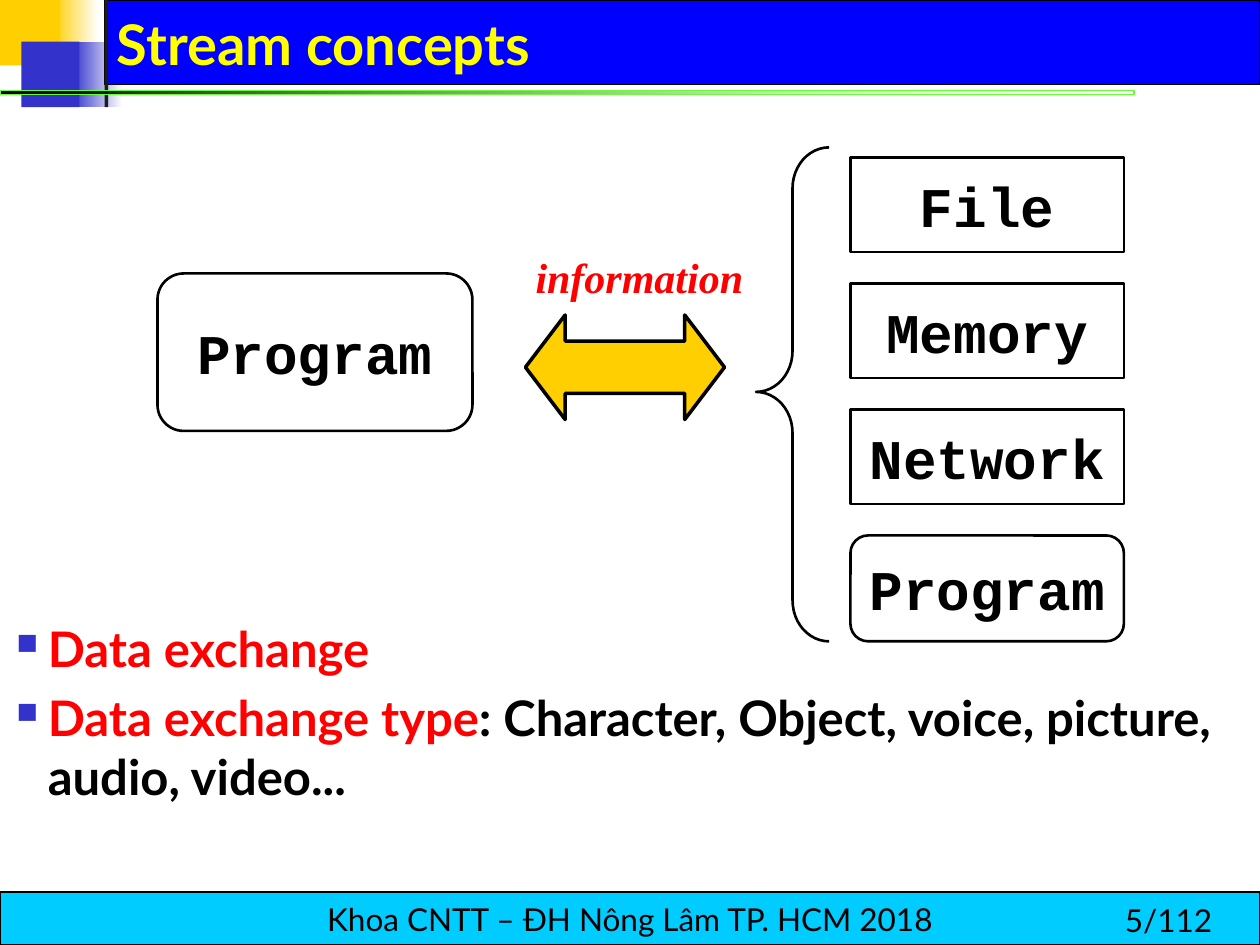
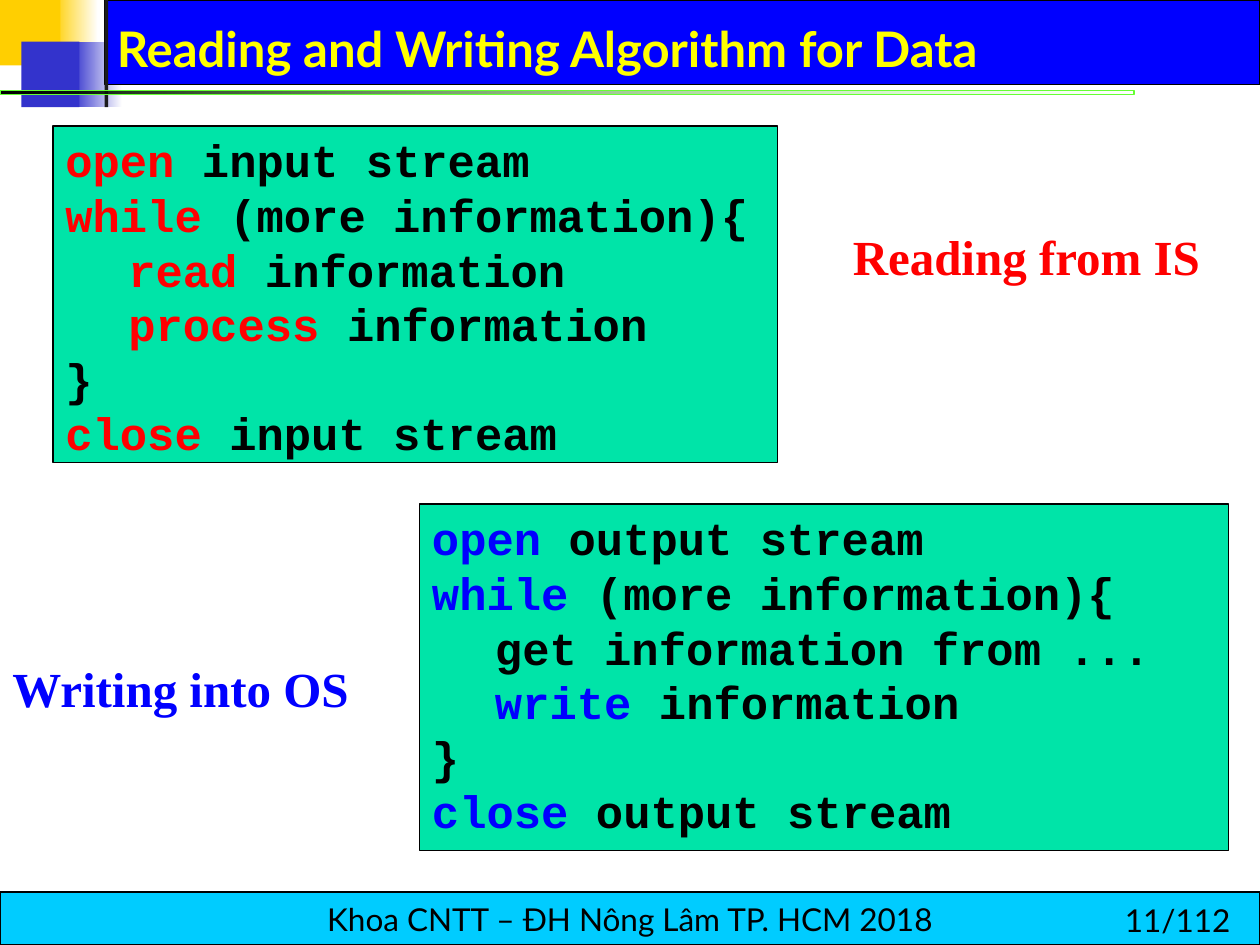
from pptx import Presentation
from pptx.util import Inches, Pt
from pptx.dml.color import RGBColor
from pptx.enum.shapes import MSO_SHAPE
from pptx.enum.text import MSO_ANCHOR, PP_ALIGN
from lxml.etree import SubElement
from pptx.oxml.ns import qn

BLACK, RED, BLUE, YELLOW = "000000", "FF0000", "0000FF", "FFFF00"
GOLD, INDIGO, WHITE, LIME = "FFCF01", "3333CC", "FFFFFF", "66FF33"
SKY, MINT, CHARCOAL = "00CCFF", "00E4A8", "1C1C1C"
SANS, MONO, SERIF = "Lato", "Courier New", "Times New Roman"


def rgb(value):
    return RGBColor.from_string(value)


def add_block(slide, box, kind=None, fill=None, line=None, width=0.75, lines=(),
              size=18, font=SANS, bold=True, italic=False, align=PP_ALIGN.LEFT,
              anchor=MSO_ANCHOR.TOP, wrap=True, inset=None):
    place = [Inches(v) for v in box]
    if kind is None:
        block = slide.shapes.add_textbox(*place)
    else:
        block = slide.shapes.add_shape(kind, *place)
        block.shadow.inherit = False
        if isinstance(fill, tuple):
            block.fill.gradient()
            block.fill.gradient_angle = 0
            for stop, colour in zip(block.fill.gradient_stops, fill):
                stop.color.rgb = rgb(colour)
        elif fill:
            block.fill.solid()
            block.fill.fore_color.rgb = rgb(fill)
        else:
            block.fill.background()
        if line:
            block.line.color.rgb = rgb(line)
            block.line.width = Pt(width)
        else:
            block.line.fill.background()
    frame = block.text_frame
    frame.word_wrap = wrap
    frame.vertical_anchor = anchor
    if inset is not None:
        frame.margin_left = frame.margin_right = Inches(inset)
        frame.margin_top = frame.margin_bottom = Inches(inset)
    for number, parts in enumerate(lines):
        paragraph = frame.add_paragraph() if number else frame.paragraphs[0]
        paragraph.alignment = align
        for words, colour in parts:
            run = paragraph.add_run()
            run.text = words
            run.font.name, run.font.size = font, Pt(size)
            run.font.bold, run.font.italic = bold, italic
            run.font.color.rgb = rgb(colour)
    return block


RECT, ROUND = MSO_SHAPE.RECTANGLE, MSO_SHAPE.ROUNDED_RECTANGLE
presentation = Presentation()
presentation.slide_width, presentation.slide_height = Inches(10), Inches(7.5)

slides = []
for title, title_size, page in [
    ("Stream concepts", 32, "5/112"),
    ("Reading and Writing Algorithm for Data", 28, "11/112"),
]:
    slide = presentation.slides.add_slide(presentation.slide_layouts[6])
    slides.append(slide)
    for box, fill, line in [
        ((0.42, 0, 0.36, 0.52), (GOLD, WHITE), None),
        ((0.57, 0.33, 0.4, 0.52), (INDIGO, WHITE), None),
        ((0.83, 0, 9.17, 0.67), BLUE, BLACK),
        ((0, 0, 0.48, 0.52), GOLD, None),
        ((0.17, 0.33, 0.46, 0.52), INDIGO, None),
        ((0.83, 0, 0.03, 0.85), CHARCOAL, None),
    ]:
        add_block(slide, box, RECT, fill, line)
    rule = add_block(slide, (0, 0.72, 9, 0.03), RECT, (BLACK, LIME), LIME, 0)
    fade = rule.fill.gradient_stops[1].color
    lime_stop = rule.fill._fill._gradFill.findall(".//" + qn("a:srgbClr"))[-1]
    SubElement(lime_stop, qn("a:alpha"), val="0")
    add_block(slide, (0, 7.08, 10, 0.42), RECT, SKY, BLACK,
              lines=[[("Khoa CNTT – ĐH Nông Lâm TP. HCM 2018", BLACK)]],
              bold=False, align=PP_ALIGN.CENTER, anchor=MSO_ANCHOR.MIDDLE, wrap=False)
    add_block(slide, (8.83, 7.1, 1.17, 0.4), lines=[[(page, BLACK)]], bold=False)
    add_block(slide, (0.83, 0.08, 8.94, 0.58), lines=[[(title, YELLOW)]],
              size=title_size, anchor=MSO_ANCHOR.BOTTOM)

concepts, algorithms = slides

endpoints = [("Program", ROUND, (1.25, 2.17, 2.5, 1.25))]
for row, (name, kind, height) in enumerate([
    ("File", RECT, 0.75), ("Memory", RECT, 0.75),
    ("Network", RECT, 0.75), ("Program", ROUND, 0.84),
]):
    endpoints.append((name, kind, (6.75, 1.25 + row, 2.17, height)))
for name, kind, box in endpoints:
    add_block(concepts, box, kind, line=BLACK, width=1.5, lines=[[(name, BLACK)]],
              size=32, font=MONO, align=PP_ALIGN.CENTER,
              anchor=MSO_ANCHOR.MIDDLE, wrap=False)

brace = add_block(concepts, (6, 1.17, 0.58, 3.92), MSO_SHAPE.LEFT_BRACE,
                  line=BLACK, width=1.5)
brace.adjustments[0], brace.adjustments[1] = 0.56, 0.495
exchange = add_block(concepts, (4.17, 2.5, 1.58, 0.83), MSO_SHAPE.LEFT_RIGHT_ARROW,
                     GOLD, BLACK, 2)
exchange.adjustments[0], exchange.adjustments[1] = 0.5, 0.38
add_block(concepts, (4.25, 2, 1.75, 0.4), lines=[[("information", RED)]],
          size=24, font=SERIF, italic=True, inset=0)

summary = add_block(concepts, (0, 4.91, 10, 1.87), size=28, inset=0, lines=[
    [("Data exchange", RED)],
    [("Data exchange type", RED),
     (": Character, Object, voice, picture, audio, video...", BLACK)],
])
for number, paragraph in enumerate(summary.text_frame.paragraphs):
    paragraph.space_before = Pt(5.6 * number)
    properties = paragraph._p.get_or_add_pPr()
    properties.set("marL", str(Inches(0.38)))
    properties.set("indent", str(Inches(-0.25)))
    SubElement(SubElement(properties, qn("a:buClr")), qn("a:srgbClr"), val=INDIGO)
    SubElement(properties, qn("a:buSzPct"), val="60000")
    SubElement(properties, qn("a:buChar"), char="■")

for panel, code_box, label, label_box, accent, steps in [
    ((0.42, 1, 5.75, 2.67), (0.42, 0.96, 5.83, 2.7),
     "Reading from IS", (6.67, 1.75, 3.33, 0.57), RED,
     [("open", " input stream"), ("while", " (more information){"),
      ("\tread", " information"), ("\tprocess", " information"),
      ("", "}"), ("close", " input stream")]),
    ((3.33, 4, 6.42, 2.75), (3.33, 3.96, 6.42, 2.7),
     "Writing into OS", (0, 5.18, 3.33, 0.57), BLUE,
     [("open", " output stream"), ("while", " (more information){"),
      ("", "\tget information from ..."), ("\twrite", " information"),
      ("", "}"), ("close", " output stream")]),
]:
    add_block(algorithms, panel, RECT, MINT, BLACK)
    code = add_block(algorithms, code_box, size=26, font=MONO, lines=[
        [(words, colour) for words, colour in ((keyword, accent), (rest, BLACK)) if words]
        for keyword, rest in steps
    ])
    code.text_frame.margin_top = Inches(0.09)
    for paragraph in code.text_frame.paragraphs:
        paragraph.line_spacing = Pt(31.2)
    add_block(algorithms, label_box, lines=[[(label, accent)]], size=28, font=SERIF)

presentation.save("out.pptx")
